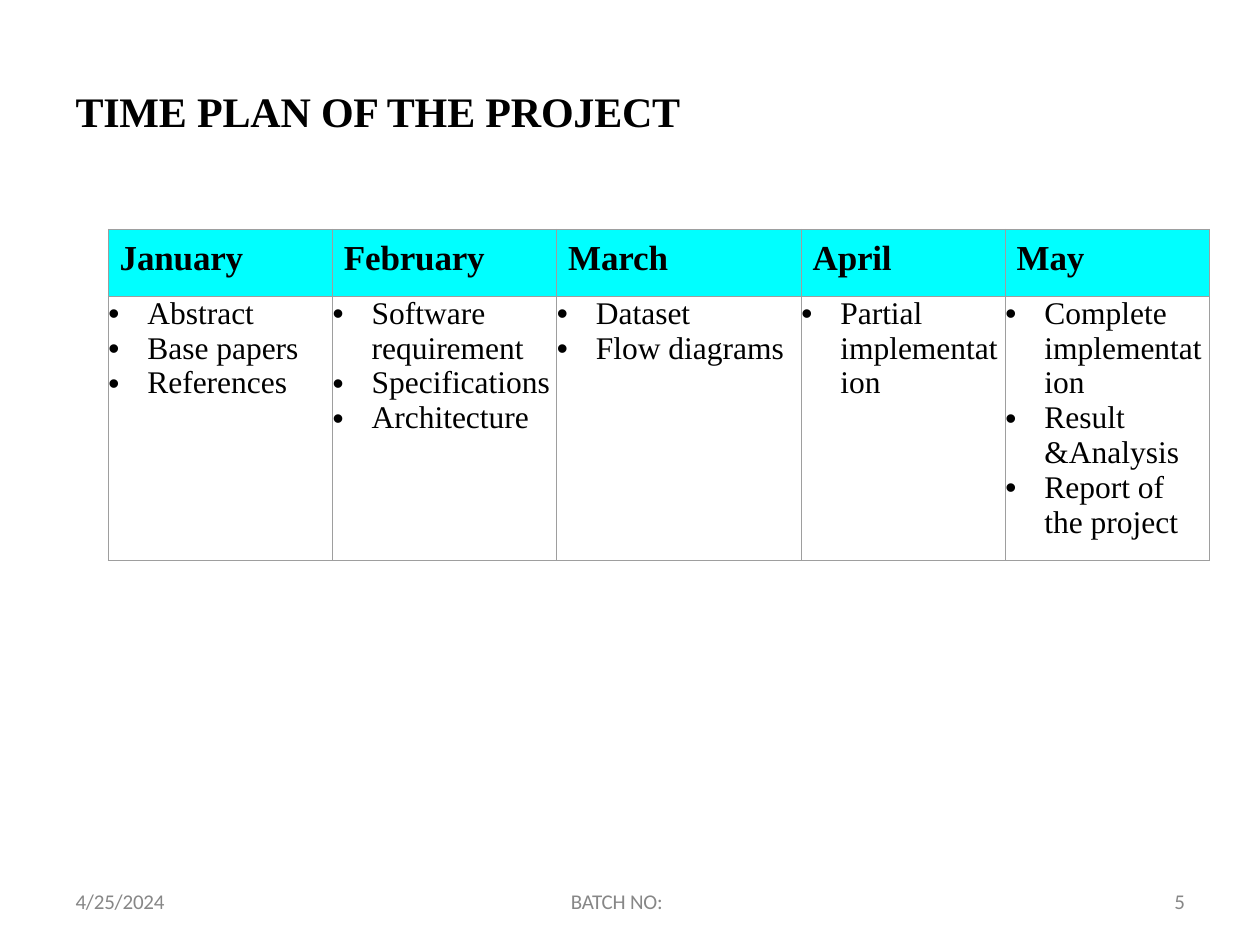
from dataclasses import dataclass

from lxml.etree import SubElement
from pptx import Presentation
from pptx.dml.color import RGBColor
from pptx.oxml.ns import qn
from pptx.util import Inches, Pt


@dataclass(frozen=True)
class Theme:
    """Colours, fonts and type sizes of the deck."""
    ink: str = "000000"
    muted: str = "878787"
    header: str = "00FFFF"
    border: str = "9E9E9E"
    serif: str = "Times New Roman"
    sans: str = "Calibri"
    title_size: int = 24
    header_size: int = 20
    body_size: int = 18
    footer_size: int = 12


def write(para, text, *, font, size, color, bold=False, tracking=0,
          indent=0.01, bullet=None, before=None, leading=None):
    """Fill one paragraph with formatted text."""
    if before is not None:
        para.space_before = Pt(before)
    if leading is not None:
        para.line_spacing = Pt(leading)
    layout = para._p.get_or_add_pPr()
    layout.set("marL", str(Inches(indent)))
    layout.set("indent", str(-Inches(indent) if bullet else 0))
    if bullet:
        SubElement(layout, qn("a:buFont"), typeface="Arial")
        SubElement(layout, qn("a:buChar"), char=bullet)
    span = para.add_run()
    span.text = text
    span.font.name = font
    span.font.size = Pt(size)
    span.font.bold = bold
    span.font.color.rgb = RGBColor.from_string(color)
    span._r.get_or_add_rPr().set("spc", str(round(tracking * 100)))


class SlideBuilder:
    """Draws elements on one slide with a grid of 100 columns and 75 rows."""

    def __init__(self, deck, theme):
        """Add a blank page to the deck."""
        self.theme = theme
        self.page = deck.slides.add_slide(deck.slide_layouts[6])
        self.column = deck.slide_width / 100
        self.row = deck.slide_height / 75

    def place(self, left, top, width, height):
        """Turn grid positions into lengths."""
        return (round(left * self.column), round(top * self.row),
                round(width * self.column), round(height * self.row))

    def text(self, at, text, **style):
        """Add a text box without side margins."""
        frame = self.page.shapes.add_textbox(*self.place(*at)).text_frame
        frame.margin_left = frame.margin_right = 0
        frame.margin_top = frame.margin_bottom = 0
        frame.word_wrap = True
        write(frame.paragraphs[0], text, **style)

    def title(self, at, text):
        """Add the slide title."""
        self.text(at, text, font=self.theme.serif, size=self.theme.title_size,
                  color=self.theme.ink, bold=True, tracking=-0.1, before=1)

    def footer(self, left, width, text, **style):
        """Add one footer item."""
        self.text((left, 70.8, width, 1.9), text, font=self.theme.sans,
                  size=self.theme.footer_size, color=self.theme.muted,
                  leading=12.4, **style)

    def cell(self, cell, lines, fill=None, margin_top=0, **style):
        """Fill one table cell and draw its borders."""
        cell.margin_left = cell.margin_right = cell.margin_bottom = 0
        cell.margin_top = Inches(margin_top)
        properties = cell._tc.get_or_add_tcPr()
        for side in ("lnL", "lnR", "lnT", "lnB"):
            line = SubElement(properties, qn(f"a:{side}"), w=str(Pt(0.75)))
            solid = SubElement(line, qn("a:solidFill"))
            SubElement(solid, qn("a:srgbClr"), val=self.theme.border)
        if fill:
            cell.fill.solid()
            cell.fill.fore_color.rgb = RGBColor.from_string(fill)
        else:
            cell.fill.background()
        frame = cell.text_frame
        for index, text in enumerate(lines):
            para = frame.add_paragraph() if index else frame.paragraphs[0]
            write(para, text, font=self.theme.serif, color=self.theme.ink, **style)

    def plan(self, left, top, widths, heights, months):
        """Add a table with a month heading above each list of tasks."""
        at = self.place(left, top, sum(widths), sum(heights))
        table = self.page.shapes.add_table(2, len(months), *at).table
        table.first_row = table.horz_banding = False
        for row, height in zip(table.rows, heights):
            row.height = round(height * self.row)
        for index, (month, tasks) in enumerate(months.items()):
            table.columns[index].width = round(widths[index] * self.column)
            self.cell(table.cell(0, index), [month], fill=self.theme.header,
                      margin_top=0.08, size=self.theme.header_size, bold=True,
                      tracking=-0.1, indent=0.09, before=6)
            self.cell(table.cell(1, index), tasks, size=self.theme.body_size,
                      indent=0.31, bullet="•")


MONTHS = {
    "January": ["Abstract", "Base papers", "References"],
    "February": ["Software requirement", "Specifications", "Architecture"],
    "March": ["Dataset", "Flow diagrams"],
    "April": ["Partial implementation"],
    "May": ["Complete implementation", "Result &Analysis", "Report of the project"],
}


def main():
    """Build the time plan slide."""
    deck = Presentation()
    deck.slide_width, deck.slide_height = Inches(10), Inches(7.5)
    slide = SlideBuilder(deck, Theme())
    slide.footer(5.9, 8, "4/25/2024", tracking=-0.1)
    slide.footer(45.2, 7.9, "BATCH NO:", tracking=-0.1)
    slide.footer(92.9, 1.4, "5", indent=0.03)
    slide.title((5.9, 6.8, 49, 4.2), "TIME PLAN OF THE PROJECT")
    slide.plan(8.6, 18.2, [17.8, 17.8, 19.4, 16.2, 16.2], [5.3, 21], MONTHS)
    deck.save("out.pptx")


if __name__ == "__main__":
    main()
